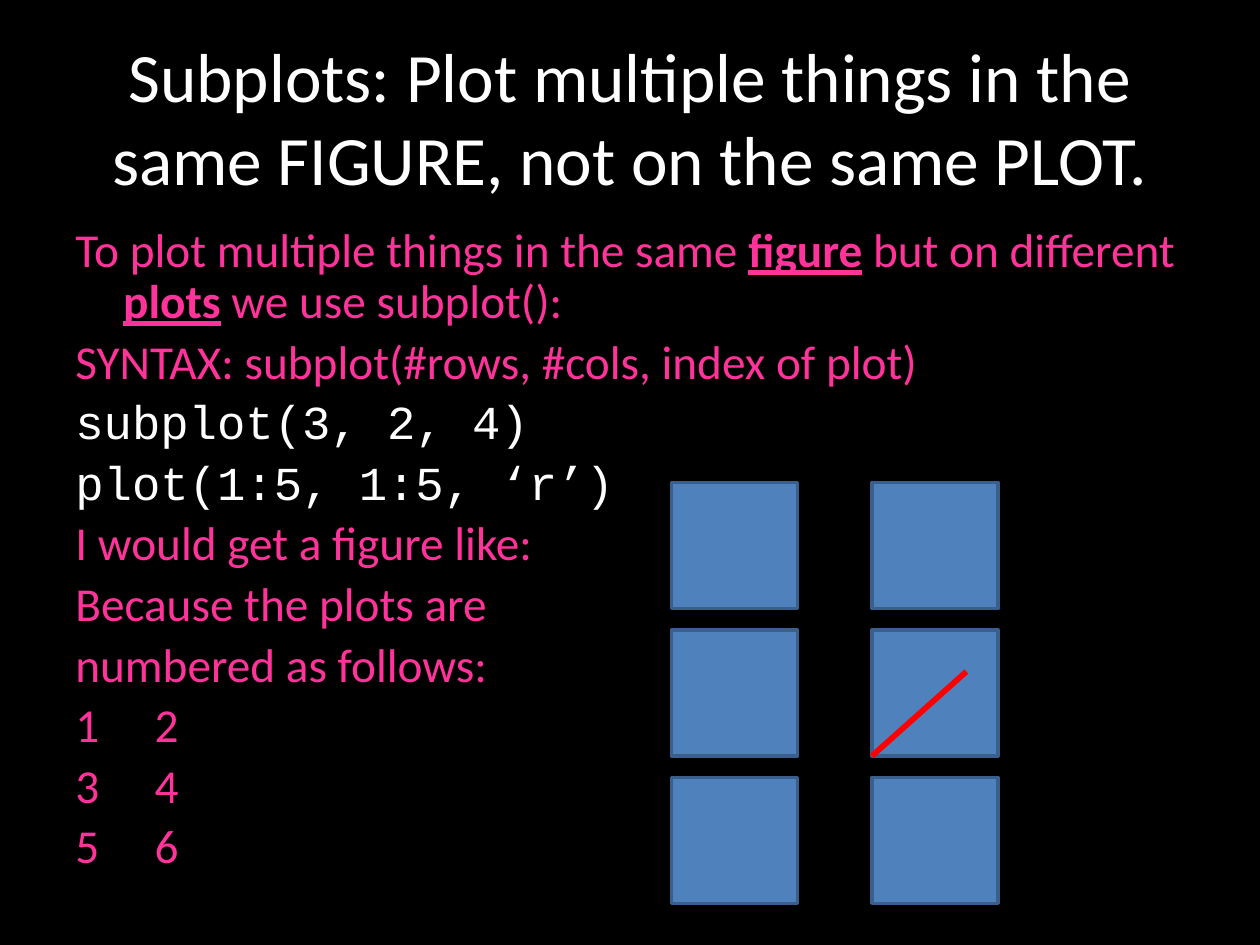
from lxml import etree
from pptx import Presentation
from pptx.dml.color import RGBColor
from pptx.enum.shapes import MSO_CONNECTOR, MSO_SHAPE
from pptx.enum.text import MSO_ANCHOR, PP_ALIGN
from pptx.oxml.ns import qn
from pptx.util import Inches, Pt

STRAIGHT = MSO_CONNECTOR.STRAIGHT
RECTANGLE = MSO_SHAPE.RECTANGLE
MIDDLE, TOP = MSO_ANCHOR.MIDDLE, MSO_ANCHOR.TOP
CENTER, LEFT = PP_ALIGN.CENTER, PP_ALIGN.LEFT

BLACK = RGBColor(0x00, 0x00, 0x00)
WHITE = RGBColor(0xFF, 0xFF, 0xFF)
PINK = RGBColor(0xFF, 0x33, 0x99)
BLUE = RGBColor(0x4F, 0x81, 0xBD)
DARK_BLUE = RGBColor(0x3A, 0x5F, 0x8C)
RED = RGBColor(0xFF, 0x00, 0x00)

TITLE = {"name": "Calibri", "size": Pt(39.6), "color": WHITE}
PROSE = {"name": "Calibri", "size": Pt(27), "color": PINK}
KEYWORD = {**PROSE, "bold": True, "underline": True}
CODE = {"name": "Courier New", "size": Pt(27), "color": WHITE}
BODY_SPACING = {"line_spacing": 0.9, "space_before": Pt(5.4), "alignment": LEFT}

BODY_LINES = [
    [("To plot multiple things in the same ", PROSE), ("figure", KEYWORD),
     (" but on different ", PROSE), ("plots", KEYWORD),
     (" we use subplot():", PROSE)],
    [("SYNTAX: subplot(#rows, #cols, index of plot)", PROSE)],
    [("subplot(3, 2, 4)", CODE)],
    [("plot(1:5, 1:5, ‘r’)", CODE)],
    [("I would get a figure like:", PROSE)],
    [("Because the plots are", PROSE)],
    [("numbered as follows:", PROSE)],
]

ROWS, COLUMNS = 3, 2
PLOT_SIZE = 1
GRID_LEFT, GRID_TOP = 5.33, 3.83
COLUMN_STEP, ROW_STEP = 1.59, 1.17


def add_text_box(page, left, top, width, height, anchor):
    box = page.shapes.add_textbox(
        Inches(left), Inches(top), Inches(width), Inches(height))
    frame = box.text_frame
    frame.word_wrap = True
    frame.vertical_anchor = anchor
    return frame


def fill_para(para, spans, spacing):
    for key, value in spacing.items():
        setattr(para, key, value)
    for text, formats in spans:
        span = para.add_run()
        span.text = text
        for key, value in formats.items():
            if key == "color":
                span.font.color.rgb = value
            else:
                setattr(span.font, key, value)


def set_hanging_indent(para, indent):
    properties = para._p.get_or_add_pPr()
    properties.set("marL", str(Inches(indent)))
    properties.set("indent", str(-Inches(indent)))
    return properties


def number_para(properties, start):
    numbering = etree.SubElement(properties, qn("a:buAutoNum"))
    numbering.set("type", "arabicPlain")
    numbering.set("startAt", str(start))


def add_title(page):
    frame = add_text_box(page, 0.5, 0.3, 9, 1.25, MIDDLE)
    text = "Subplots: Plot multiple things in the same FIGURE, not on the same PLOT."
    fill_para(frame.paragraphs[0], [(text, TITLE)], {"alignment": CENTER})


def add_body(page):
    frame = add_text_box(page, 0.5, 1.75, 9.5, 5.75, TOP)
    for index, spans in enumerate(BODY_LINES):
        para = frame.add_paragraph() if index else frame.paragraphs[0]
        fill_para(para, spans, BODY_SPACING)
        set_hanging_indent(para, 0.38)
    for row in range(ROWS):
        first = row * COLUMNS + 1
        para = frame.add_paragraph()
        fill_para(para, [(str(first + 1), PROSE)], BODY_SPACING)
        number_para(set_hanging_indent(para, 0.63), first)


def add_plot(page, row, column):
    plot = page.shapes.add_shape(
        RECTANGLE,
        Inches(GRID_LEFT + column * COLUMN_STEP),
        Inches(GRID_TOP + row * ROW_STEP),
        Inches(PLOT_SIZE), Inches(PLOT_SIZE))
    plot.shadow.inherit = False
    plot.fill.solid()
    plot.fill.fore_color.rgb = BLUE
    plot.line.color.rgb = DARK_BLUE
    plot.line.width = Pt(2)


def add_plotted_line(page):
    left = GRID_LEFT + COLUMN_STEP
    bottom = GRID_TOP + ROW_STEP + PLOT_SIZE
    line = page.shapes.add_connector(
        STRAIGHT, Inches(left), Inches(bottom),
        Inches(left + 0.75), Inches(bottom - 0.67))
    line.line.color.rgb = RED
    line.line.width = Pt(3.25)
    etree.SubElement(line._element.spPr, qn("a:effectLst"))


def main():
    deck = Presentation()
    deck.slide_width, deck.slide_height = Inches(10), Inches(7.5)
    page = deck.slides.add_slide(deck.slide_layouts[6])
    page.background.fill.solid()
    page.background.fill.fore_color.rgb = BLACK
    add_title(page)
    add_body(page)
    for row in range(ROWS):
        for column in range(COLUMNS):
            add_plot(page, row, column)
    add_plotted_line(page)
    deck.save("out.pptx")


if __name__ == "__main__":
    main()
